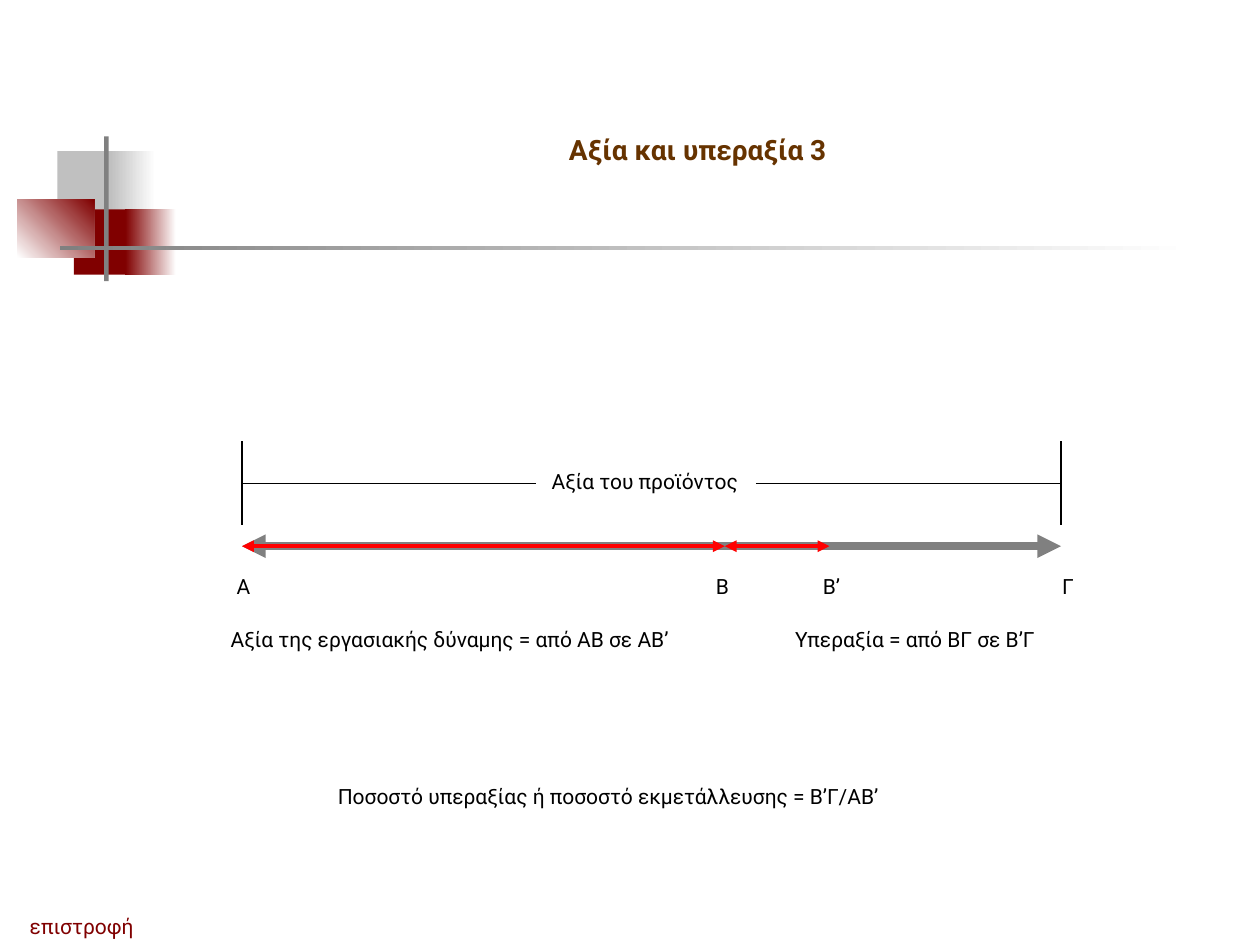
from lxml.etree import SubElement as Sub
from pptx import Presentation
from pptx.dml.color import RGBColor as RGB
from pptx.enum.shapes import MSO_CONNECTOR as Link, MSO_SHAPE as Kind
from pptx.enum.text import MSO_ANCHOR as Anchor, MSO_AUTO_SIZE as Fit, PP_ALIGN as Align
from pptx.oxml.ns import qn
from pptx.util import Cm, Pt

BLACK = RGB(0x00, 0x00, 0x00)
WHITE = RGB(0xFF, 0xFF, 0xFF)
SILVER = RGB(0xC0, 0xC0, 0xC0)
GRAY = RGB(0x80, 0x80, 0x80)
MAROON = RGB(0x80, 0x00, 0x00)
BROWN = RGB(0x66, 0x33, 0x00)
RED = RGB(0xFF, 0x00, 0x00)
FONT = "Roboto"


def style(shape, text, color, size=12, bold=False, align=Align.LEFT):
    frame = shape.text_frame
    frame.text = text
    frame.auto_size = Fit.NONE
    frame.vertical_anchor = Anchor.TOP
    para = frame.paragraphs[0]
    para.alignment = align
    font = para.font
    font.name, font.size, font.bold = FONT, Pt(size), bold
    font.color.rgb = color


def label(slide, x, y, width, text, color=BLACK):
    shape = slide.shapes.add_textbox(Cm(x), Cm(y), Cm(width), Cm(0.76))
    style(shape, text, color)
    shape.text_frame.word_wrap = False


def block(slide, x, y, width, height, color, turn=None):
    shape = slide.shapes.add_shape(Kind.RECTANGLE, Cm(x), Cm(y), Cm(width), Cm(height))
    shape.shadow.inherit = False
    shape.line.fill.background()
    fill = shape.fill
    if turn is None:
        fill.solid()
        fill.fore_color.rgb = color
        return
    fill.gradient()
    fill.gradient_angle = turn
    for stop, tone in zip(fill.gradient_stops, (WHITE, color)):
        stop.color.rgb = tone


def rule(slide, x1, y1, x2, y2, color=BLACK, weight=0.75, arrows=False):
    line = slide.shapes.add_connector(Link.STRAIGHT, Cm(x1), Cm(y1), Cm(x2), Cm(y2))
    line.line.color.rgb = color
    line.line.width = Pt(weight)
    props = line.element.spPr
    if arrows:
        for end in ("a:headEnd", "a:tailEnd"):
            Sub(props.find(qn("a:ln")), qn(end), type="triangle")
    Sub(props, qn("a:effectLst"))


def header(slide, left, top):
    for x, y, width, height, color, turn in (
        (0.81, 0.3, 1.22, 1.32, SILVER, None),
        (1.88, 0.3, 0.91, 1.32, SILVER, 180),
        (1.14, 1.47, 1.17, 1.32, MAROON, None),
        (2.18, 1.47, 1.02, 1.32, MAROON, 180),
        (0, 1.27, 1.55, 1.17, MAROON, 45),
        (1.75, 0, 0.09, 2.92, GRAY, None),
        (0.86, 2.2, 22.86, 0.09, GRAY, 180),
    ):
        block(slide, left + x, top + y, width, height, color, turn)
    title = slide.shapes.title
    title.left, title.top = Cm(left + 4.29), Cm(top - 0.2)
    title.width, title.height = Cm(18.85), Cm(0.94)
    style(title, "Αξία και υπεραξία 3", BROWN, 16, True, Align.CENTER)


def diagram(slide, left, top, width):
    right = left + width
    mid, split = left + 9.73, left + 11.84
    axis, bar = top + 2.12, top + 0.85
    rule(slide, left, axis, right, axis, GRAY, 4.5, True)
    for start, end in ((left, mid), (mid, split)):
        rule(slide, start, axis, end, axis, RED, 2.25, True)
    for x in (left, right):
        rule(slide, x, top, x, top + 1.7)
    rule(slide, left, bar, left + 5.92, bar)
    rule(slide, left + 10.36, bar, right, bar)
    for x, y, size, text in (
        (5.99, 0.43, 4.42, "Αξία του προϊόντος"),
        (-0.36, 2.54, 0.76, "Α"),
        (9.3, 2.54, 0.79, "Β"),
        (11.46, 2.54, 0.86, "Β’"),
        (16.28, 2.54, 0.74, "Γ"),
        (-0.48, 3.61, 9.63, "Αξία της εργασιακής δύναμης = από ΑΒ σε ΑΒ’"),
        (10.9, 3.61, 5.59, "Υπεραξία = από ΒΓ σε Β’Γ"),
        (1.68, 6.78, 11.68, "Ποσοστό υπεραξίας ή ποσοστό εκμετάλλευσης = Β’Γ/ΑΒ’"),
    ):
        label(slide, left + x, top + y, size, text)


def main():
    deck = Presentation()
    deck.slide_width, deck.slide_height = Cm(25.4), Cm(19.05)
    slide = deck.slides.add_slide(deck.slide_layouts[5])
    header(slide, 0.35, 2.75)
    diagram(slide, 4.88, 8.89, 16.51)
    label(slide, 0.35, 18.29, 2.67, "επιστροφή", MAROON)
    deck.save("out.pptx")


if __name__ == "__main__":
    main()
